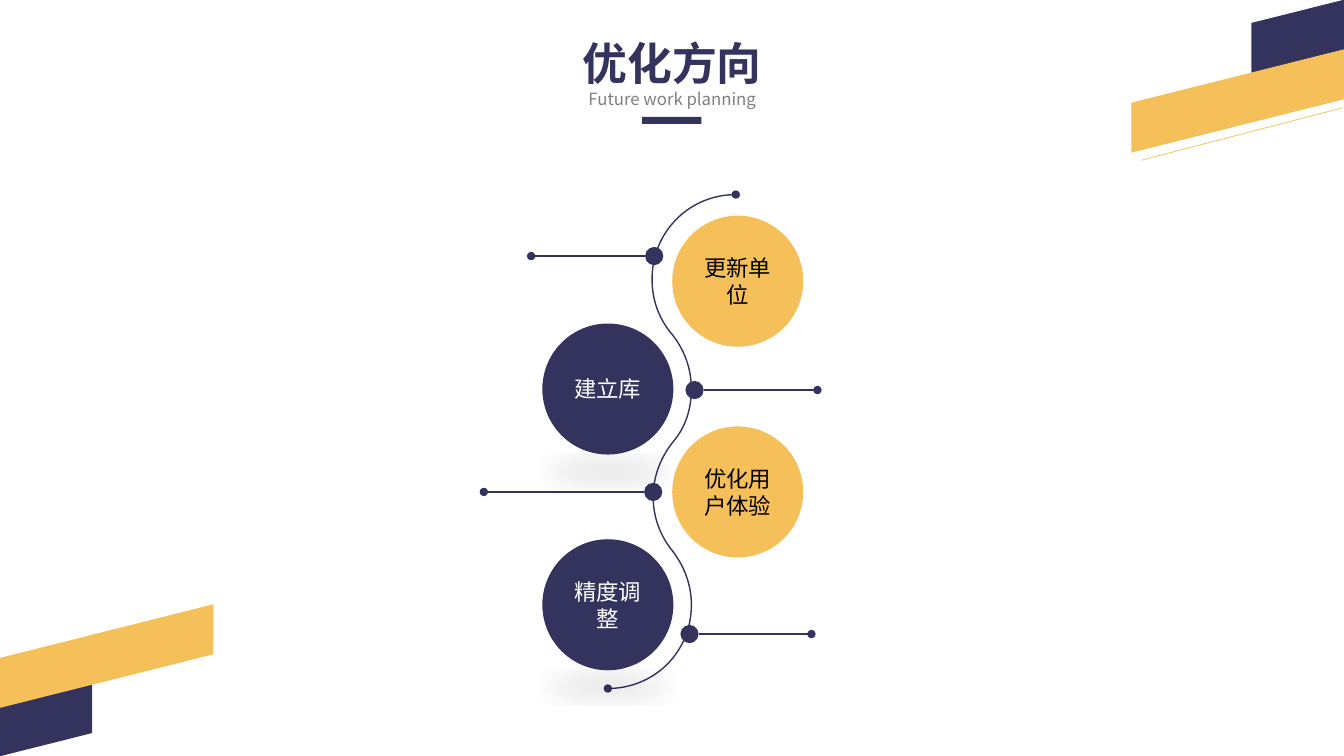
from lxml import etree
from pptx import Presentation
from pptx.dml.color import RGBColor
from pptx.enum.shapes import MSO_CONNECTOR, MSO_SHAPE as SHAPE
from pptx.enum.text import MSO_ANCHOR as ANCHOR, MSO_AUTO_SIZE as AUTO, PP_ALIGN as ALIGN
from pptx.oxml.ns import qn
from pptx.util import Pt

FONT = "Noto Sans CJK SC"
NAVY, GOLD, GREY, BLACK, WHITE = "33335E", "F5C059", "808080", "000000", "FFFFFF"
DOT, DISC = 13, 93.6

BANDS = [(-5.8, 496.8, 77, NAVY), (-7.2, 451.4, 166.3, GOLD),
         (888.5, 8.6, 77, NAVY), (801.4, 54.7, 166.3, GOLD)]

# Start point, then three points for each Bezier curve
SPINE = [(434.2, 491.8),
         (467.3, 491.8), (493.9, 465.1), (493.9, 432),
         (493.9, 416.9), (488.2, 403.2), (479.5, 392.4),
         (471.6, 382.3), (466.6, 369.4), (466.6, 355),
         (466.6, 339.8), (472.3, 326.2), (481, 315.4),
         (489.6, 305.3), (493.9, 292.3), (493.9, 277.9),
         (493.9, 263.5), (488.9, 249.8), (480.2, 239),
         (470.9, 228.2), (465.8, 214.6), (465.8, 199.4),
         (465.8, 166.3), (492.5, 139), (525.6, 139)]

# Centre of each dot on the spine, and where its branch ends
BRANCHES = [(467.3, 182.9, 379.4), (496.1, 278.6, 583.9),
            (466.6, 351.4, 345.6), (492.5, 452.9, 579.6)]

RIGHT, LEFT = (480.2, GOLD, BLACK), (387.4, NAVY, WHITE)
STEPS = [("更新单位", 154.1, RIGHT), ("建立库", 231.1, LEFT),
         ("优化用户体验", 304.6, RIGHT), ("精度调整", 385.2, LEFT)]


def rgb(color):
    return RGBColor.from_string(color)


def place(s, x, y, w, h):
    s.left, s.top, s.width, s.height = Pt(x), Pt(y), Pt(w), Pt(h)


def write(tf, text, size, color, bold=False):
    """Put one centred line of styled text in a text frame."""
    tf.text = text
    p = tf.paragraphs[0]
    p.alignment = ALIGN.CENTER
    font = p.runs[0].font
    font.size, font.bold, font.name = Pt(size), bold, FONT
    font.color.rgb = rgb(color)
    ea = etree.SubElement(p.runs[0]._r.get_or_add_rPr(), qn("a:ea"))
    ea.set("typeface", FONT)


def add_filled(slide, kind, x, y, w, h, color):
    s = slide.shapes.add_shape(kind, Pt(x), Pt(y), Pt(w), Pt(h))
    s.shadow.inherit = False
    s.fill.solid()
    s.fill.fore_color.rgb = rgb(color)
    s.line.fill.background()
    return s


def style_line(s, color, width, *oval_ends):
    s.line.color.rgb = rgb(color)
    s.line.width = Pt(width)
    for end in oval_ends:
        etree.SubElement(s.line._get_or_add_ln(), qn(f"a:{end}")).set("type", "oval")


def add_line(slide, x1, y1, x2, y2, color, width, *oval_ends):
    s = slide.shapes.add_connector(MSO_CONNECTOR.STRAIGHT, Pt(x1), Pt(y1), Pt(x2), Pt(y2))
    style_line(s, color, width, *oval_ends)
    etree.SubElement(s._element.spPr, qn("a:effectLst"))


def add_curve(slide, points):
    """Draw the points as straight segments, then join each three into a Bezier."""
    start, *rest = [(Pt(x), Pt(y)) for x, y in points]
    builder = slide.shapes.build_freeform(*start)
    builder.add_line_segments(rest, close=False)
    s = builder.convert_to_shape()
    s.shadow.inherit = False
    s.fill.background()
    style_line(s, NAVY, 1, "headEnd", "tailEnd")
    path = s._element.find(".//" + qn("a:path"))
    segments = path.findall(qn("a:lnTo"))
    for i in range(0, len(segments), 3):
        curve = etree.SubElement(path, qn("a:cubicBezTo"))
        for segment in segments[i:i + 3]:
            curve.append(segment[0])
            path.remove(segment)


def add_floor_shadow(s):
    """Add a soft, flattened shadow below the shape."""
    effects = s._element.spPr.find(qn("a:effectLst"))
    shadow = etree.SubElement(effects, qn("a:outerShdw"))
    settings = {"blurRad": Pt(19), "dist": Pt(3), "dir": 5400000,
                "sx": 90000, "sy": -19000, "rotWithShape": 0}
    for name, value in settings.items():
        shadow.set(name, str(int(value)))
    color = etree.SubElement(shadow, qn("a:srgbClr"))
    color.set("val", BLACK)
    etree.SubElement(color, qn("a:alpha")).set("val", "10000")


def add_heading(slide):
    title = slide.shapes.title
    place(title, 408.2, 21.6, 144, 46)
    tf = title.text_frame
    write(tf, "优化方向", 32, NAVY, bold=True)
    tf.word_wrap = False
    tf.auto_size = AUTO.SHAPE_TO_FIT_TEXT
    tf.vertical_anchor = ANCHOR.TOP
    box = slide.shapes.add_textbox(Pt(324), Pt(59.8), Pt(312.5), Pt(21.6))
    box.text_frame.word_wrap = True
    write(box.text_frame, "Future work planning", 12, GREY)
    add_filled(slide, SHAPE.RECTANGLE, 458.6, 83.5, 42.5, 5, NAVY)


def add_branch(slide, x, y, end):
    add_filled(slide, SHAPE.OVAL, x - DOT / 2, y - DOT / 2, DOT, DOT, NAVY)
    edge = x + DOT / 2 if end > x else x - DOT / 2
    add_line(slide, edge, y, end, y, NAVY, 1, "tailEnd")


def add_step(slide, text, y, side):
    x, fill, color = side
    s = add_filled(slide, SHAPE.OVAL, x, y, DISC, DISC, fill)
    s.text_frame.word_wrap = True
    s.text_frame.vertical_anchor = ANCHOR.MIDDLE
    write(s.text_frame, text, 16, color)
    if side is LEFT:
        add_floor_shadow(s)


def main():
    prs = Presentation()
    prs.slide_width, prs.slide_height = Pt(960), Pt(540)
    slide = prs.slides.add_slide(prs.slide_layouts[5])
    for x, y, w, color in BANDS:
        add_filled(slide, SHAPE.PARALLELOGRAM, x, y, w, 34.6, color).rotation = 345.9
    add_line(slide, 815, 114.5, 959, 77, GOLD, 0.5)
    add_heading(slide)
    add_curve(slide, SPINE)
    for branch in BRANCHES:
        add_branch(slide, *branch)
    for step in STEPS:
        add_step(slide, *step)
    prs.save("out.pptx")


if __name__ == "__main__":
    main()
